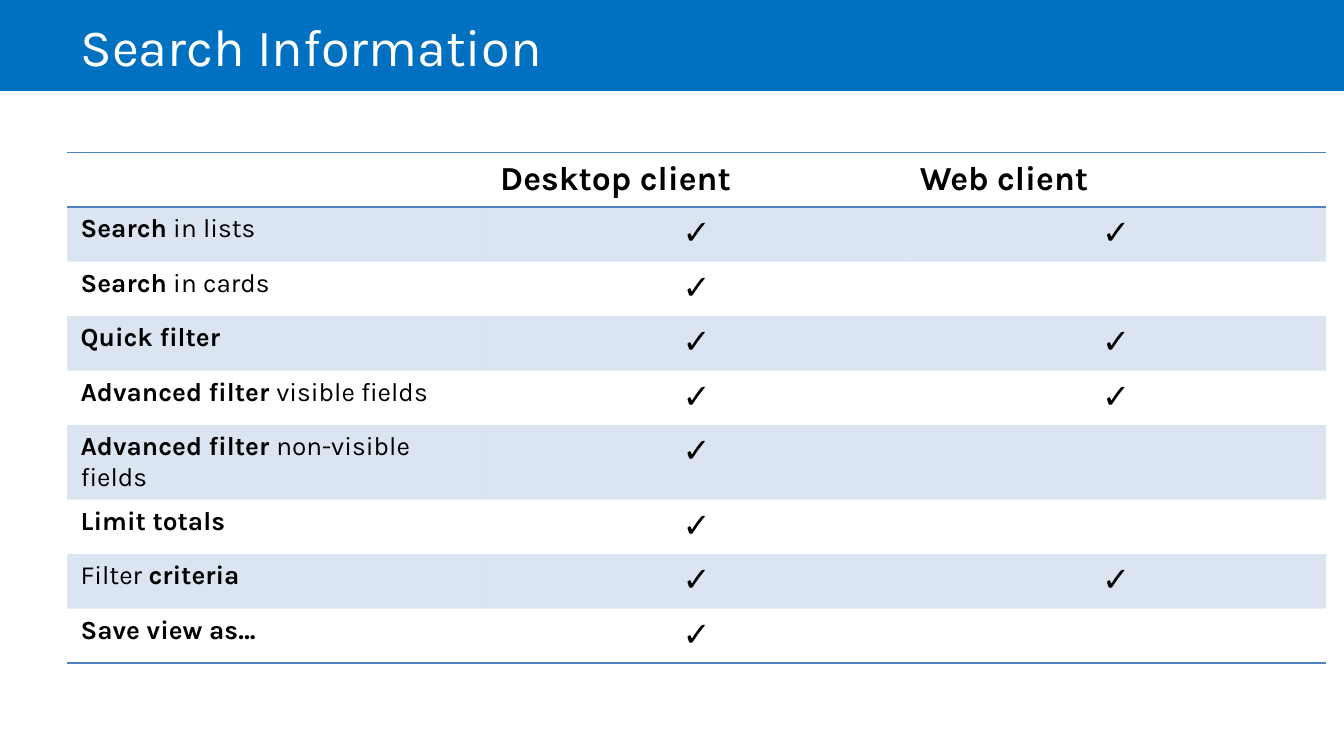
from lxml import etree
from pptx import Presentation
from pptx.dml.color import RGBColor
from pptx.enum import shapes, text
from pptx.oxml.ns import qn
from pptx.util import Cm, Pt

FONT = "Karla"
COLORS = {"band": "0070C0", "accent": "4F81BD", "text": "000000", "title": "FFFFFF"}
CHECK = "✓"
HEADERS = ["", "Desktop client", "Web client"]
# Feature as (text, bold) runs, then support in each client
FEATURES = [
    ([("Search", True), (" in lists", False)], True, True),
    ([("Search", True), (" in cards", False)], True, False),
    ([("Quick filter", True)], True, True),
    ([("Advanced filter ", True), ("visible fields", False)], True, True),
    ([("Advanced filter ", True), ("non-visible fields", False)], True, False),
    ([("Limit totals", True)], True, False),
    ([("Filter ", False), ("criteria", True)], True, True),
    ([("Save view as…", True)], True, False),
]


def rgb(name):
    return RGBColor.from_string(COLORS[name])


def add_run(p, words, size, color="text", bold=False):
    r = p.add_run()
    r.text = words
    r.font.name = FONT
    r.font.size = Pt(size)
    r.font.bold = bold
    r.font.color.rgb = rgb(color)


def set_borders(cell, ruled):
    """Draw a 1 pt accent line on the ruled sides (T, B) and clear the others."""
    tcPr = cell._tc.get_or_add_tcPr()
    for side in "LRTB":
        ln = etree.SubElement(tcPr, qn(f"a:ln{side}"), w=str(Pt(1)))
        if side in ruled:
            fill = etree.SubElement(ln, qn("a:solidFill"))
            etree.SubElement(fill, qn("a:srgbClr"), val=COLORS["accent"])
        else:
            etree.SubElement(ln, qn("a:noFill"))


def set_fill(cell, shaded):
    """Fill with the accent at 20 % opacity, or leave clear."""
    if not shaded:
        cell.fill.background()
        return
    cell.fill.solid()
    cell.fill.fore_color.rgb = rgb("accent")
    clr = cell._tc.tcPr.find(qn("a:solidFill")).find(qn("a:srgbClr"))
    etree.SubElement(clr, qn("a:alpha"), val="20000")


def add_title_band(s, left, top, width, height, margin, title):
    band = s.shapes.add_shape(shapes.MSO_SHAPE.RECTANGLE, left, top, width, height)
    band.shadow.inherit = False
    band.fill.solid()
    band.fill.fore_color.rgb = rgb("band")
    band.line.fill.background()
    s.shapes._spTree.insert(2, band._element)  # behind the title

    sp = s.shapes.title
    sp.left, sp.top = left + margin, top
    sp.width, sp.height = width - 2 * margin, height
    tf = sp.text_frame
    tf.auto_size = text.MSO_AUTO_SIZE.NONE
    tf.vertical_anchor = text.MSO_ANCHOR.MIDDLE
    p = tf.paragraphs[0]
    p.alignment = text.PP_ALIGN.LEFT
    add_run(p, title, 28, "title")


def add_feature_table(s, left, top, width, height):
    last = len(FEATURES)
    table = s.shapes.add_table(last + 1, len(HEADERS), left, top, width, height).table
    table.first_row = table.horz_banding = False

    for row in range(last + 1):
        ruled = ("T" if row < 2 else "") + ("B" if row in (0, last) else "")
        for cell in table.rows[row].cells:
            set_borders(cell, ruled)
            set_fill(cell, row % 2 == 1)

    for col, header in enumerate(HEADERS):
        if header:
            add_run(table.cell(0, col).text_frame.paragraphs[0], header, 18, bold=True)

    for row, (feature, *support) in enumerate(FEATURES, 1):
        p = table.cell(row, 0).text_frame.paragraphs[0]
        for words, bold in feature:
            add_run(p, words, 14, bold=bold)
        for col, supported in enumerate(support, 1):
            if supported:
                p = table.cell(row, col).text_frame.paragraphs[0]
                p.alignment = text.PP_ALIGN.CENTER
                add_run(p, CHECK, 18)


def main():
    prs = Presentation()
    prs.slide_width, prs.slide_height = Cm(25.4), Cm(14.28)
    s = prs.slides.add_slide(prs.slide_layouts[5])
    add_title_band(s, 0, 0, prs.slide_width, Cm(1.72), Cm(1.27), "Search Information")
    add_feature_table(s, Cm(1.27), Cm(2.88), Cm(23.79), Cm(9.27))
    prs.save("out.pptx")


if __name__ == "__main__":
    main()
